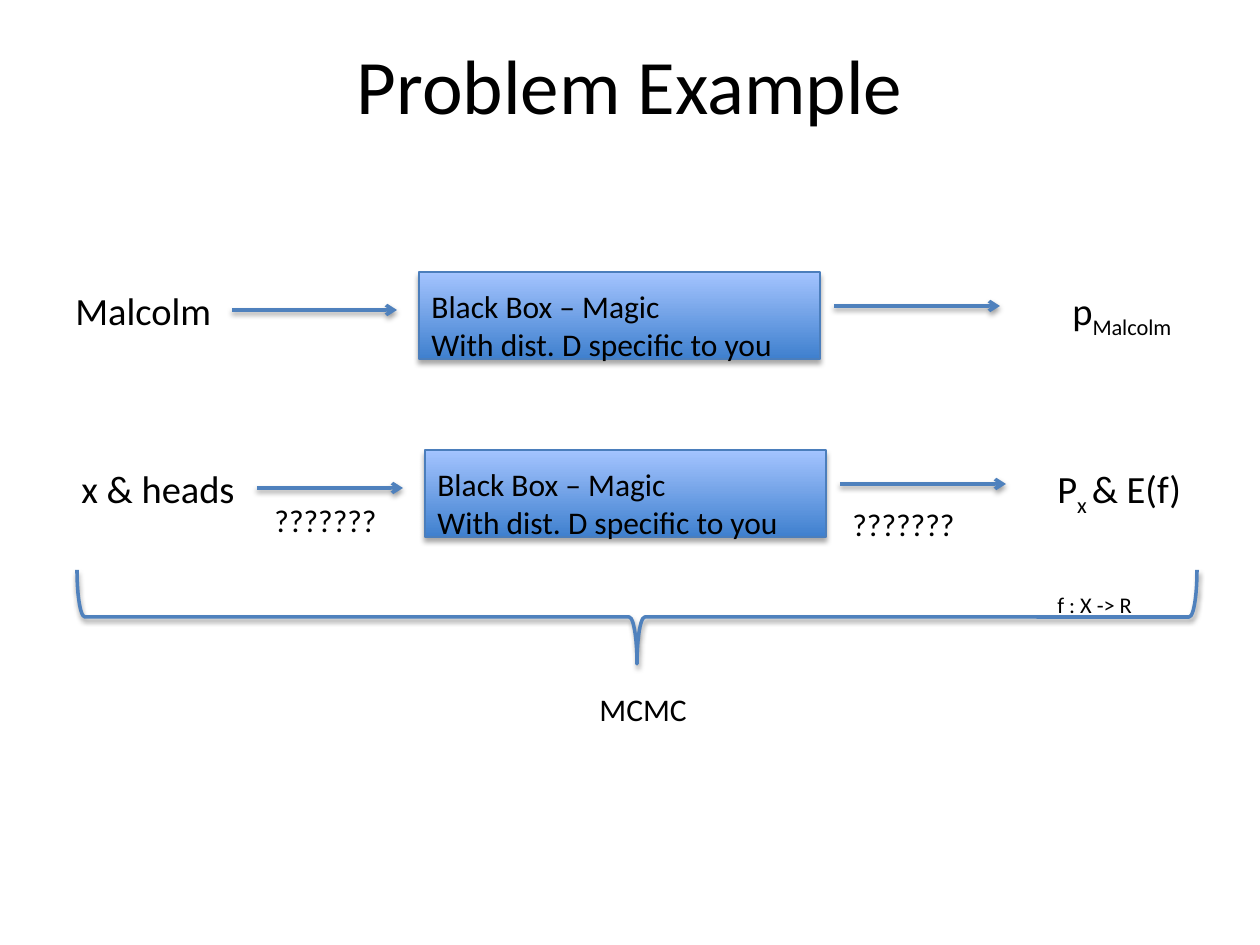
from lxml.etree import SubElement
from pptx import Presentation
from pptx.dml.color import RGBColor
from pptx.enum.shapes import MSO_CONNECTOR, MSO_SHAPE
from pptx.enum.text import MSO_ANCHOR, MSO_AUTO_SIZE, PP_ALIGN
from pptx.oxml.ns import qn
from pptx.util import Emu, Pt

PX_PER_INCH = 126
FONT = "Calibri"
BLACK = RGBColor(0x00, 0x00, 0x00)
BLUE = RGBColor(0x4F, 0x81, 0xBD)
BOX_EDGE = RGBColor(0x4B, 0x7E, 0xBC)
BOX_BOTTOM = RGBColor(0x3F, 0x80, 0xCE)
BOX_TOP = RGBColor(0xA4, 0xC4, 0xFF)
UNKNOWN = "???????"


def px(*lengths):
    """Turn pixel lengths into EMU."""
    return [Emu(round(length * 914400 / PX_PER_INCH)) for length in lengths]


def add_shadow(element, distance, opacity):
    """Give a shape or connector a soft shadow straight below it."""
    effects = SubElement(element._element.spPr, qn("a:effectLst"))
    shadow = SubElement(effects, qn("a:outerShdw"), blurRad=str(Pt(3.1)),
                        dist=str(Pt(distance)), dir="5400000", rotWithShape="0")
    color = SubElement(shadow, qn("a:srgbClr"), val=str(BLACK))
    SubElement(color, qn("a:alpha"), val=str(opacity * 1000))


def add_run(paragraph, text, size, subscript=False):
    """Add one formatted run."""
    run = paragraph.add_run()
    run.text = text
    run.font.name = FONT
    run.font.size = Pt(size)
    run.font.color.rgb = BLACK
    if subscript:
        run._r.get_or_add_rPr().set("baseline", "-25000")


def add_label(slide, bounds, paragraphs, size, wrap=True):
    """Add a text box; each paragraph is a list of (text, subscript) runs."""
    label = slide.shapes.add_textbox(*px(*bounds))
    frame = label.text_frame
    frame.word_wrap = wrap
    frame.auto_size = MSO_AUTO_SIZE.SHAPE_TO_FIT_TEXT
    for index, runs in enumerate(paragraphs):
        paragraph = frame.add_paragraph() if index else frame.paragraphs[0]
        for text, subscript in runs:
            add_run(paragraph, text, size, subscript)
    return label


def add_title(slide, text):
    """Fill the title placeholder."""
    title = slide.shapes.title
    title.left, title.top, title.width, title.height = px(63, 5, 1134, 158)
    title.text_frame.vertical_anchor = MSO_ANCHOR.MIDDLE
    paragraph = title.text_frame.paragraphs[0]
    paragraph.alignment = PP_ALIGN.CENTER
    add_run(paragraph, text, 44)


def add_arrow(slide, start, end, y):
    """Add a horizontal arrow pointing right."""
    arrow = slide.shapes.add_connector(MSO_CONNECTOR.STRAIGHT, *px(start, y, end, y))
    arrow.line.color.rgb = BLUE
    arrow.line.width = Pt(2)
    SubElement(arrow.line._get_or_add_ln(), qn("a:tailEnd"), type="arrow")
    add_shadow(arrow, 1.6, 38)
    return arrow


def add_black_box(slide, left, top):
    """Add the gradient box and its two lines of text."""
    box = slide.shapes.add_shape(MSO_SHAPE.RECTANGLE, *px(left, top, 401, 87))
    box.fill.gradient()
    box.fill.gradient_angle = 90
    for stop, color in zip(box.fill.gradient_stops, (BOX_BOTTOM, BOX_TOP)):
        stop.color.rgb = color
    box.line.color.rgb = BOX_EDGE
    box.line.width = Pt(0.75)
    add_shadow(box, 1.8, 35)
    lines = [[("Black Box – Magic", False)], [("With dist. D specific to you", False)]]
    add_label(slide, (left, top + 9, 387, 89), lines, 18)


def add_process(slide, dx, dy, source, source_width, arrow_start, result, result_bounds):
    """Add one row: source, arrow, black box, arrow, result."""
    add_black_box(slide, 419 + dx, 272 + dy)
    source_label = add_label(slide, (63 + dx, 281 + dy, source_width, 58),
                             [[(source, False)]], 22)
    input_arrow = add_arrow(slide, arrow_start, 397 + dx, 310 + dy)
    if 63 + dx + source_width == arrow_start:
        input_arrow.begin_connect(source_label, 3)
    add_arrow(slide, 834 + dx, 1000 + dx, 306 + dy)
    return add_label(slide, result_bounds, result, 22, wrap=False)


def add_brace(slide):
    """Add the brace that opens upward under both rows."""
    brace = slide.shapes.add_shape(MSO_SHAPE.RIGHT_BRACE, *px(590, 57, 94, 1120))
    brace.rotation = 90
    brace.fill.background()
    brace.line.color.rgb = BLUE
    brace.line.width = Pt(2)
    add_shadow(brace, 1.6, 38)


def main():
    """Build and save the slide."""
    presentation = Presentation()
    presentation.slide_width, presentation.slide_height = px(1260, 945)
    slide = presentation.slides.add_slide(presentation.slide_layouts[5])
    add_title(slide, "Problem Example")
    add_process(slide, 0, 0, "Malcolm", 169, 232,
                [[("p", False), ("Malcolm", True)]], (1060, 281, 137, 58))
    expectation = add_process(
        slide, 6, 178, "x & heads", 281, 257,
        [[("P", False), ("x ", True), ("& E(f)", False)], [("f : X -> R", True)]],
        (1045, 459, 152, 121))
    expectation.text_frame.paragraphs[1].space_before = Pt(27)
    for left, top in ((840, 499), (262, 495)):
        add_label(slide, (left, top, 142, 50), [[(UNKNOWN, False)]], 18)
    add_brace(slide)
    add_label(slide, (587, 684, 219, 50), [[("MCMC", False)]], 18)
    presentation.save("out.pptx")


if __name__ == "__main__":
    main()
